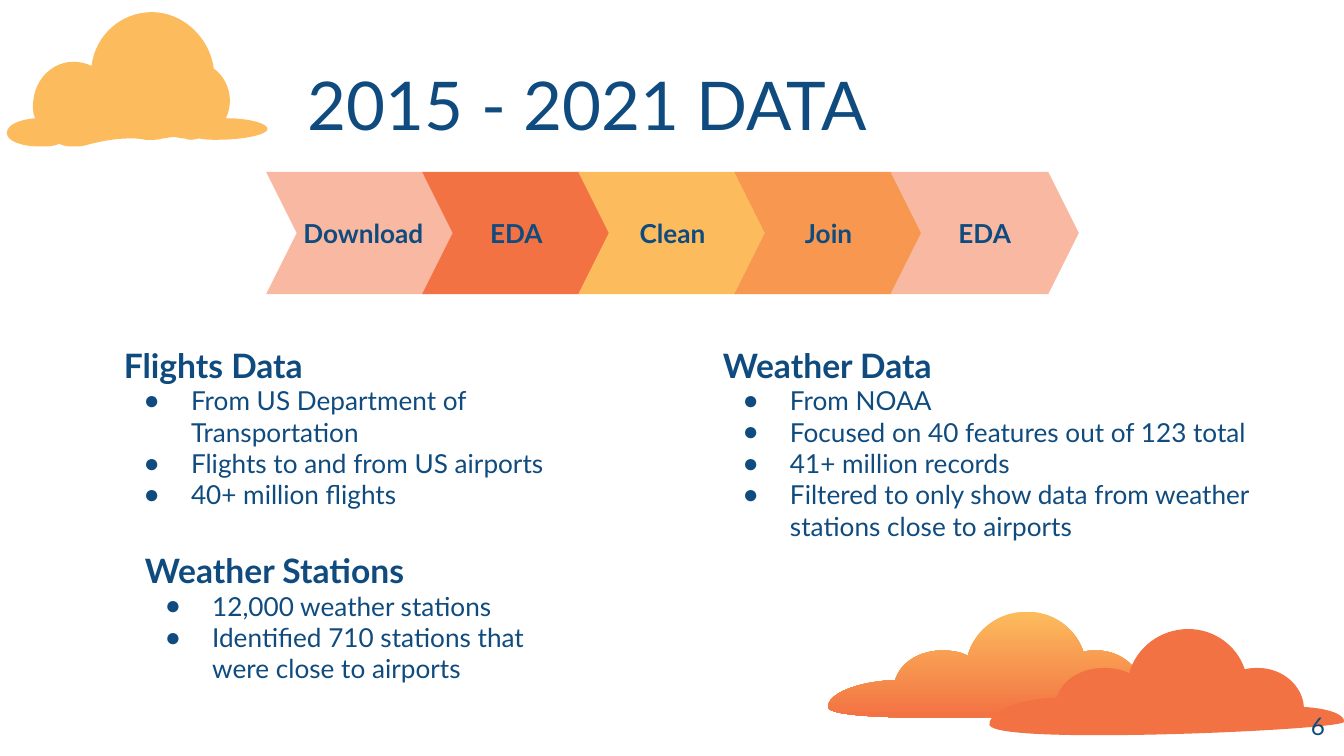
"""Build the 2015 - 2021 data slide with its process chevrons and dataset lists."""
from dataclasses import dataclass

from lxml.etree import SubElement
from pptx import Presentation
from pptx.dml.color import RGBColor
from pptx.enum.shapes import MSO_SHAPE
from pptx.enum.text import MSO_ANCHOR, MSO_AUTO_SIZE, PP_ALIGN
from pptx.oxml.ns import qn
from pptx.shapes.autoshape import Shape
from pptx.slide import Slide
from pptx.text.text import TextFrame, _Paragraph as Paragraph
from pptx.util import Cm, Pt

NAVY, YELLOW, ORANGE = "0F4B7E", "FCBC5D", "F27243"
PEACH, AMBER = "F8B8A1", "F79750"
HUNDREDTH_INCH = Cm(0.0254)

Curve = tuple[int, int, int, int, int, int]

TALL_CLOUD: list[Curve] = [
    (85, 0, 66, 17, 63, 40), (59, 38, 54, 37, 50, 37), (49, 37, 48, 37, 48, 37),
    (33, 38, 22, 50, 20, 64), (19, 69, 19, 74, 21, 79), (9, 80, 0, 84, 0, 90),
    (0, 96, 11, 100, 25, 100), (30, 100, 35, 100, 39, 98), (43, 100, 46, 100, 50, 100),
    (53, 100, 56, 100, 59, 99), (70, 96, 81, 94, 92, 94), (95, 94, 99, 94, 103, 95),
    (104, 95, 106, 95, 108, 95), (111, 95, 113, 95, 116, 94), (118, 94, 121, 93, 124, 93),
    (127, 93, 129, 94, 132, 94), (134, 95, 136, 95, 138, 95), (140, 95, 141, 95, 143, 94),
    (147, 95, 152, 95, 156, 95), (177, 95, 194, 91, 194, 87), (194, 83, 181, 79, 163, 79),
    (165, 75, 166, 70, 166, 66), (166, 56, 161, 47, 154, 42), (151, 19, 131, 0, 108, 0),
]
WIDE_CLOUD: list[Curve] = [
    (127, 0, 109, 14, 104, 33), (99, 30, 92, 29, 85, 29), (68, 29, 54, 38, 50, 51),
    (22, 52, 0, 61, 0, 71), (0, 77, 36, 79, 81, 79), (158, 79, 264, 73, 264, 69),
    (264, 63, 251, 59, 234, 58), (233, 42, 218, 29, 200, 29),
    (197, 29, 193, 29, 190, 30), (184, 12, 167, 0, 148, 0),
]


@dataclass
class Box:
    left: float
    top: float
    width: float
    height: float


@dataclass
class Cloud:
    curves: list[Curve]
    left: float
    top: float
    colors: list[str]


@dataclass
class Step:
    label: str
    color: str


@dataclass
class Dataset:
    heading: str
    items: list[str]
    box: Box


CLOUDS = [
    Cloud(TALL_CLOUD, 0.13, 0.23, [YELLOW]),
    Cloud(WIDE_CLOUD, 15.65, 11.56, [YELLOW, ORANGE]),
    Cloud(WIDE_CLOUD, 18.7, 11.89, [ORANGE]),
]
STEPS = [
    Step(" Download", PEACH),
    Step("EDA", ORANGE),
    Step("Clean", YELLOW),
    Step("Join", AMBER),
    Step("EDA", PEACH),
]
DATASETS = [
    Dataset("Flights Data", [
        "From US Department of Transportation",
        "Flights to and from US airports",
        "40+ million flights",
    ], Box(2.09, 6.26, 10.13, 3.89)),
    Dataset("Weather Data", [
        "From NOAA",
        "Focused on 40 features out of 123 total",
        "41+ million records",
        "Filtered to only show data from weather stations close to airports",
    ], Box(13.41, 6.26, 11.25, 6.68)),
    Dataset("Weather Stations", [
        "12,000 weather stations",
        "Identified 710 stations that were close to airports",
    ], Box(2.49, 10.14, 8.79, 3.89)),
]


def rgb(color: str) -> RGBColor:
    """Turn a hex string into a colour."""
    return RGBColor.from_string(color)


def place(shape: Shape, box: Box) -> None:
    """Move and size a shape."""
    shape.left, shape.top = Cm(box.left), Cm(box.top)
    shape.width, shape.height = Cm(box.width), Cm(box.height)


def format_frame(frame: TextFrame, anchor: MSO_ANCHOR, margin: float = 0.25,
                 wrap: bool = True) -> None:
    """Set wrapping, anchor and equal margins."""
    frame.word_wrap = wrap
    frame.auto_size = MSO_AUTO_SIZE.NONE
    frame.vertical_anchor = anchor
    frame.margin_left = frame.margin_right = Cm(margin)
    frame.margin_top = frame.margin_bottom = Cm(margin)


def write(paragraph: Paragraph, text: str, size: int, bold: bool = False,
          alignment: PP_ALIGN = PP_ALIGN.LEFT) -> None:
    """Fill a paragraph and set its font."""
    paragraph.text = text
    paragraph.alignment = alignment
    paragraph.space_before = Pt(0)
    font = paragraph.font
    font.name, font.size, font.bold = "Lato", Pt(size), bold
    font.color.rgb = rgb(NAVY)


def set_indent(paragraph: Paragraph, margin: float, indent: float, bullet: str = "") -> None:
    """Set the left margin, first-line indent and bullet of a paragraph."""
    properties = paragraph._p.get_or_add_pPr()
    properties.set("marL", str(Cm(margin)))
    properties.set("indent", str(Cm(indent)))
    if bullet:
        color = SubElement(properties, qn("a:buClr"))
        SubElement(color, qn("a:srgbClr")).set("val", NAVY)
        SubElement(properties, qn("a:buChar")).set("char", bullet)
    else:
        SubElement(properties, qn("a:buNone"))


def bend_lines(shape: Shape, curves: list[Curve]) -> None:
    """Turn the straight segments of a freeform into cubic curves."""
    for line, curve in zip(list(shape.element.iter(qn("a:lnTo"))), curves):
        line.tag = qn("a:cubicBezTo")
        line.clear()
        for x, y in zip(curve[::2], curve[1::2]):
            point = SubElement(line, qn("a:pt"))
            point.set("x", str(x))
            point.set("y", str(y))


def draw_cloud(slide: Slide, cloud: Cloud) -> None:
    """Draw a cloud in one colour or a downward gradient."""
    corners = [curve[4:] for curve in cloud.curves]
    builder = slide.shapes.build_freeform(*corners[-1], scale=HUNDREDTH_INCH)
    builder.add_line_segments(corners, close=True)
    shape = builder.convert_to_shape(Cm(cloud.left), Cm(cloud.top))
    bend_lines(shape, cloud.curves)
    shape.shadow.inherit = False
    shape.line.fill.background()
    if len(cloud.colors) == 1:
        shape.fill.solid()
        shape.fill.fore_color.rgb = rgb(cloud.colors[0])
    else:
        shape.fill.gradient()
        shape.fill.gradient_angle = 270
        for stop, color in zip(shape.fill.gradient_stops, cloud.colors):
            stop.color.rgb = rgb(color)


def draw_step(slide: Slide, step: Step, index: int) -> None:
    """Draw one chevron of the process."""
    shape = slide.shapes.add_shape(
        MSO_SHAPE.CHEVRON, Cm(5.03 + 2.95 * index), Cm(3.25), Cm(3.56), Cm(2.31))
    shape.adjustments[0] = 0.25
    shape.shadow.inherit = False
    shape.fill.solid()
    shape.fill.fore_color.rgb = rgb(step.color)
    shape.line.fill.background()
    format_frame(shape.text_frame, MSO_ANCHOR.MIDDLE, margin=0, wrap=False)
    write(shape.text_frame.paragraphs[0], step.label, 14, True, PP_ALIGN.CENTER)


def fill_dataset(shape: Shape, dataset: Dataset) -> None:
    """Write a heading and its bulleted list."""
    place(shape, dataset.box)
    frame = shape.text_frame
    format_frame(frame, MSO_ANCHOR.TOP)
    set_indent(frame.paragraphs[0], 0, 0)
    write(frame.paragraphs[0], dataset.heading, 18, True)
    for item in dataset.items:
        paragraph = frame.add_paragraph()
        set_indent(paragraph, 1.27, -0.89, "●")
        write(paragraph, item, 14)


def main() -> None:
    """Build and save the presentation."""
    presentation = Presentation()
    presentation.slide_width, presentation.slide_height = Cm(25.4), Cm(14.29)
    slide = presentation.slides.add_slide(presentation.slide_layouts.get_by_name("Comparison"))
    title, *bodies, spare = slide.placeholders
    spare.element.getparent().remove(spare.element)

    place(title, Box(5.57, 0.92, 17.45, 2.06))
    format_frame(title.text_frame, MSO_ANCHOR.MIDDLE)
    write(title.text_frame.paragraphs[0], "2015 - 2021 DATA", 36)
    for body, dataset in zip(bodies, DATASETS):
        fill_dataset(body, dataset)
    for cloud in CLOUDS:
        draw_cloud(slide, cloud)
    for index, step in enumerate(STEPS):
        draw_step(slide, step, index)

    number = slide.shapes.add_textbox(Cm(23.77), Cm(13.2), Cm(1.52), Cm(1.09))
    format_frame(number.text_frame, MSO_ANCHOR.TOP)
    write(number.text_frame.paragraphs[0], "6", 13, alignment=PP_ALIGN.RIGHT)
    presentation.save("out.pptx")


if __name__ == "__main__":
    main()
